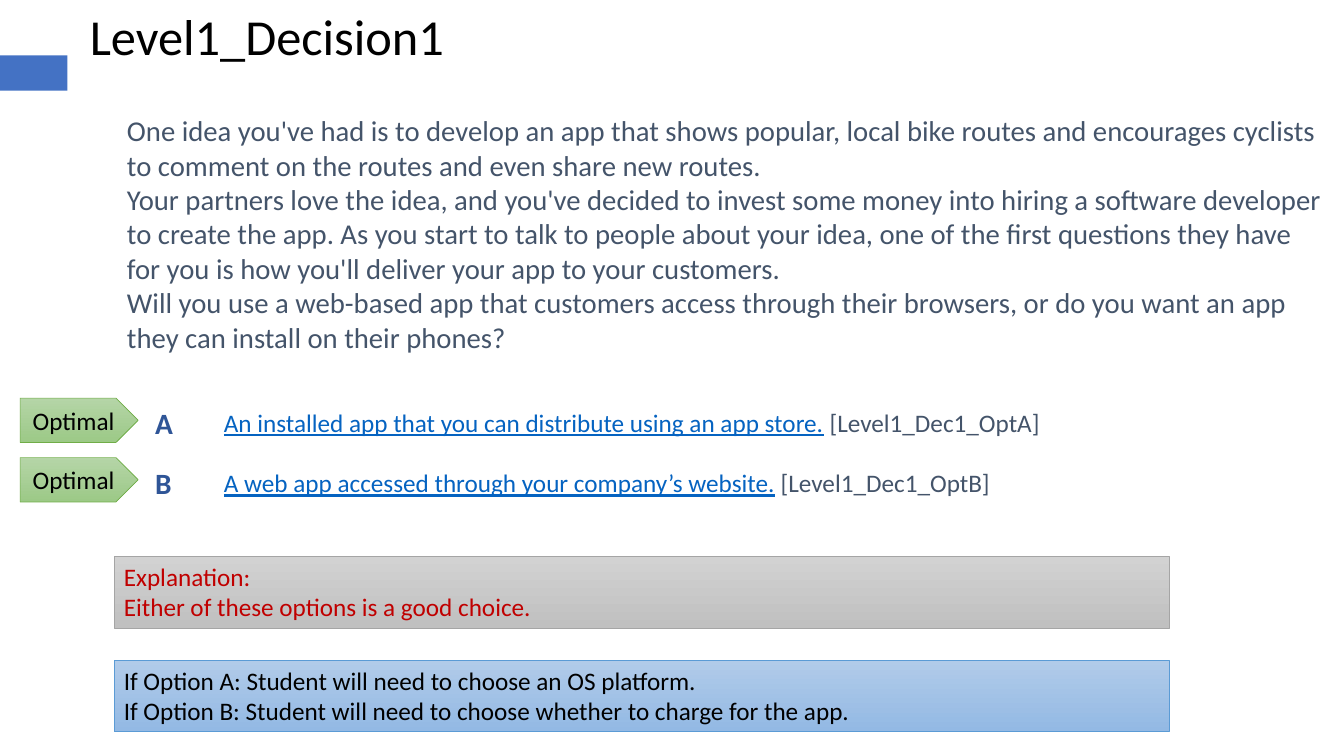
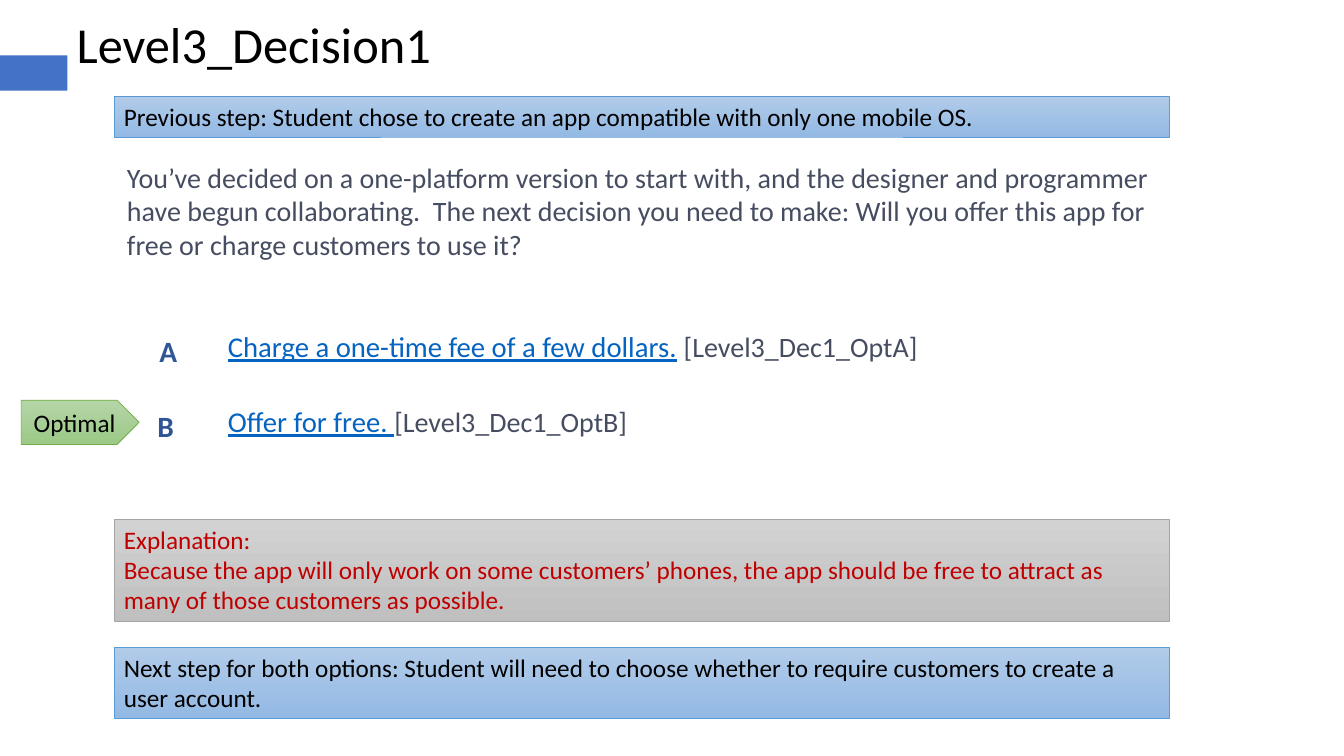
"""Build two decision slides of a branching scenario."""
from pptx import Presentation
from pptx.dml.color import RGBColor
from pptx.enum.shapes import MSO_SHAPE
from pptx.enum.text import MSO_ANCHOR, PP_ALIGN
from pptx.util import Pt

PX = 9144
FONT = "Calibri"
COLORS = {
    "band": "4472C4", "title": "000000", "letter": "2F5597",
    "link": "0563C1", "slate": "44546A", "ink": "464D61",
}
PANELS = {
    "step": {"top": "B1CBE9", "bottom": "93B9E4", "line": "5B9BD5", "text": "000000"},
    "explanation": {"top": "D2D2D2", "bottom": "C0C0C0", "line": "A5A5A5", "text": "C00000"},
    "optimal": {"top": "B5D5A7", "bottom": "9CC987", "line": "70AD47", "text": "000000"},
}
SLIDES = [
    {
        "title": "Level1_Decision1", "title_at": (79, 0), "ink": "slate",
        "body": [
            "One idea you've had is to develop an app that shows popular, local bike routes and "
            "encourages cyclists to comment on the routes and even share new routes.",
            "Your partners love the idea, and you've decided to invest some money into hiring a "
            "software developer to create the app. As you start to talk to people about your idea, "
            "one of the first questions they have for you is how you'll deliver your app to your "
            "customers.",
            "Will you use a web-based app that customers access through their browsers, or do you "
            "want an app they can install on their phones?",
        ],
        "body_box": (113, 105, 1220, 389), "body_size": 20.5,
        "options": [
            ("An installed app that you can distribute using an app store.", " [Level1_Dec1_OptA]"),
            ("A web app accessed through your company’s website.", " [Level1_Dec1_OptB]"),
        ],
        "options_box": (209, 397, 1121, 258), "link_size": 18, "tag_size": 18, "gap": 21.5,
        "letters": [("A", 141, 395), ("B", 141, 454)],
        "optimal": [(20, 395), (20, 454)],
        "panels": [
            ("explanation", 552, 71, ["Explanation:", "Either of these options is a good choice."]),
            ("step", 655, 71, [
                "If Option A: Student will need to choose an OS platform.",
                "If Option B: Student will need to choose whether to charge for the app.",
            ]),
        ],
    },
    {
        "title": "Level3_Decision1", "title_at": (66, 8), "ink": "ink",
        "body": [
            "You’ve decided on a one-platform version to start with, and the designer and "
            "programmer have begun collaborating.  The next decision you need to make: Will you "
            "offer this app for free or charge customers to use it?",
        ],
        "body_box": (113, 152, 1047, 316), "body_size": 20,
        "options": [
            ("Charge a one-time fee of a few dollars.", " [Level3_Dec1_OptA]"),
            ("Offer for free. ", "[Level3_Dec1_OptB]"),
        ],
        "options_box": (213, 319, 907, 132), "link_size": 20.5, "tag_size": 20, "gap": 29,
        "letters": [("A", 145, 323), ("B", 143, 398)],
        "optimal": [(21, 397)],
        "panels": [
            ("step", 96, 40, [
                "Previous step: Student chose to create an app compatible with only one mobile OS.",
            ]),
            ("explanation", 515, 101, [
                "Explanation:",
                "Because the app will only work on some customers’ phones, the app should be free "
                "to attract as many of those customers as possible.",
            ]),
            ("step", 642, 71, [
                "Next step for both options: Student will need to choose whether to require "
                "customers to create a user account.",
            ]),
        ],
    },
]


def add_text(s, box, paragraphs, gap=0):
    """Add a text box; each paragraph is a list of (text, size, color, bold, underline)."""
    tf = s.shapes.add_textbox(*[v * PX for v in box]).text_frame
    tf.word_wrap = True
    tf.margin_left = tf.margin_right = 13 * PX
    tf.margin_top = tf.margin_bottom = 7 * PX
    for i, runs in enumerate(paragraphs):
        p = tf.add_paragraph() if i else tf.paragraphs[0]
        if i:
            p.space_before = Pt(gap)
        for text, size, color, bold, underline in runs:
            r = p.add_run()
            r.text = text
            r.font.name, r.font.size = FONT, Pt(size)
            r.font.bold, r.font.underline = bold, underline
            r.font.color.rgb = RGBColor.from_string(COLORS[color])


def add_panel(s, shape, box, kind, lines, align, anchor):
    """Add a gradient-filled shape holding 18 pt text."""
    style = PANELS[kind]
    sp = s.shapes.add_shape(shape, *[v * PX for v in box])
    sp.shadow.inherit = False
    sp.fill.gradient()
    sp.fill.gradient_angle = 270
    for stop, end in zip(sp.fill.gradient_stops, ("top", "bottom")):
        stop.color.rgb = RGBColor.from_string(style[end])
    sp.line.color.rgb = RGBColor.from_string(style["line"])
    sp.line.width = Pt(0.5)
    tf = sp.text_frame
    tf.word_wrap = True
    tf.vertical_anchor = anchor
    tf.text = "\n".join(lines)
    for p in tf.paragraphs:
        p.alignment = align
        p.font.name, p.font.size = FONT, Pt(18)
        p.font.color.rgb = RGBColor.from_string(style["text"])


prs = Presentation()
prs.slide_width, prs.slide_height = 1333 * PX, 750 * PX
layout = prs.slide_layouts[5]
slides = [prs.slides.add_slide(layout) for _ in SLIDES]

band = slides[0].shapes.add_shape(MSO_SHAPE.RECTANGLE, 0, 55 * PX, 67 * PX, 35 * PX)
band.shadow.inherit = False
band.fill.solid()
band.fill.fore_color.rgb = RGBColor.from_string(COLORS["band"])
band.line.fill.background()
layout.shapes.element.append(band.element)

for s, d in zip(slides, SLIDES):
    title = s.shapes.title
    title.left, title.top = [v * PX for v in d["title_at"]]
    title.width, title.height = 551 * PX, 71 * PX
    title.text_frame.text = d["title"]
    title.text_frame.vertical_anchor = MSO_ANCHOR.TOP
    p = title.text_frame.paragraphs[0]
    p.alignment = PP_ALIGN.LEFT
    p.font.name, p.font.size = FONT, Pt(36)
    p.font.color.rgb = RGBColor.from_string(COLORS["title"])

    add_text(s, d["body_box"],
             [[(text, d["body_size"], d["ink"], False, False)] for text in d["body"]])
    add_text(s, d["options_box"],
             [[(link, d["link_size"], "link", False, True),
               (tag, d["tag_size"], d["ink"], False, False)] for link, tag in d["options"]],
             d["gap"])
    for letter, x, y in d["letters"]:
        add_text(s, (x, y, 68, 44), [[(letter, 21, "letter", True, False)]])
    for kind, y, height, lines in d["panels"]:
        add_panel(s, MSO_SHAPE.RECTANGLE, (113, y, 1047, height), kind, lines,
                  PP_ALIGN.LEFT, MSO_ANCHOR.TOP)
    for x, y in d["optimal"]:
        add_panel(s, MSO_SHAPE.PENTAGON, (x, y, 117, 44), "optimal", ["Optimal"],
                  PP_ALIGN.CENTER, MSO_ANCHOR.MIDDLE)

prs.save("out.pptx")
